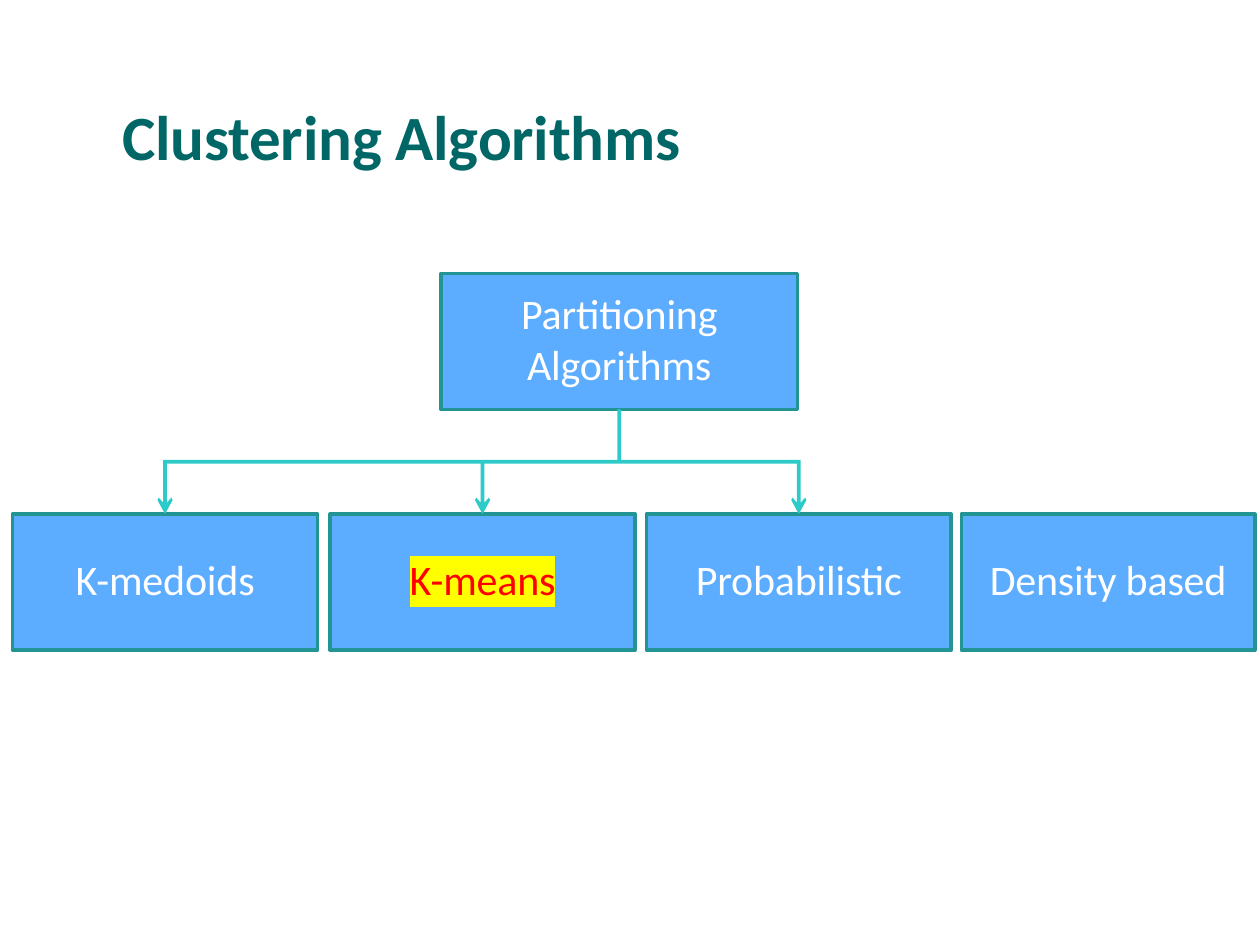
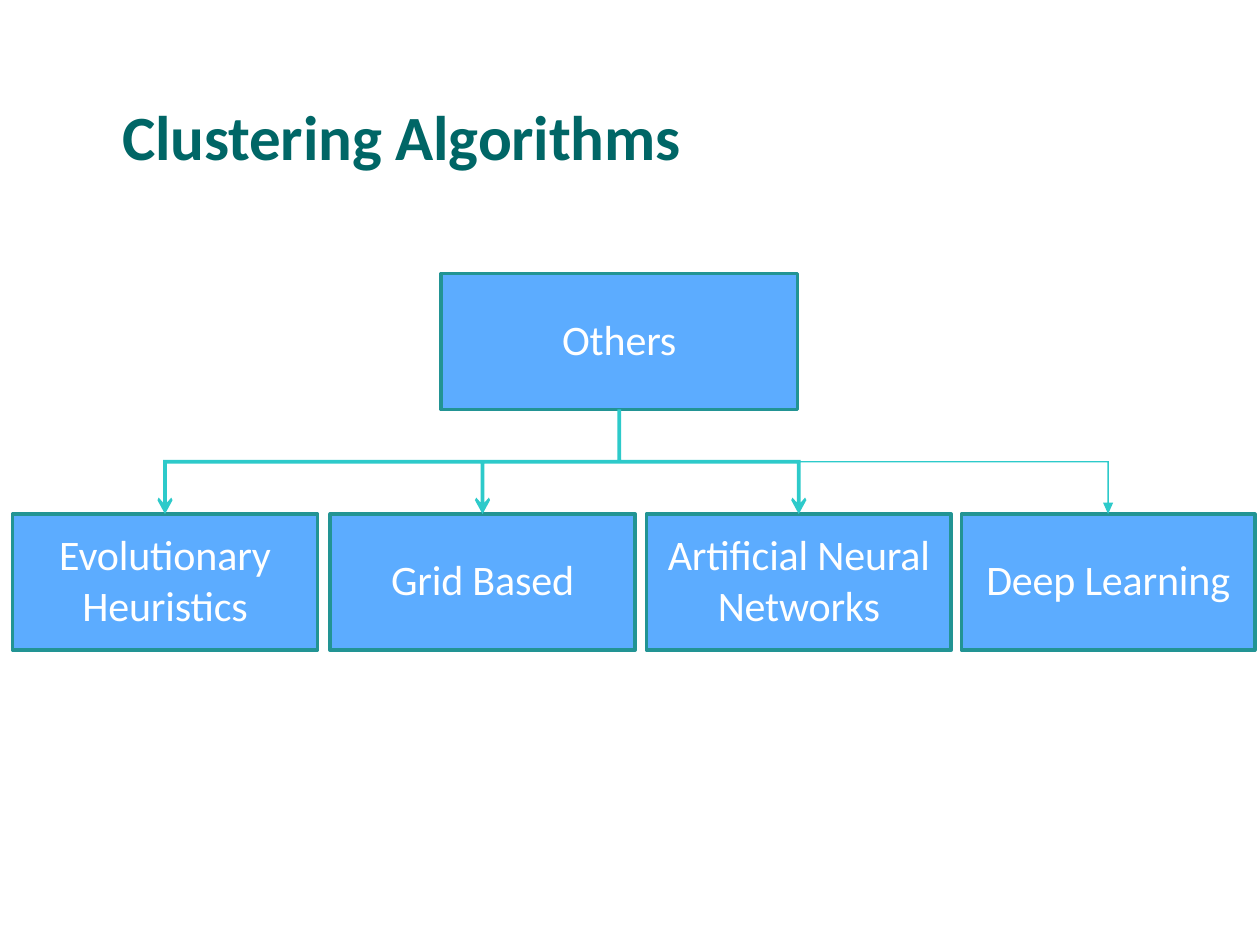
from pptx import Presentation
from pptx import util as u
from pptx.dml.color import RGBColor
from pptx.enum import shapes, text
from pptx.oxml.ns import qn
from lxml import etree

HUES = {"title": "006666", "box": "5CACFF", "edge": "229494", "link": "2DCACA",
        "text": "FFFFFF", "hot": "FF0000", "mark": "FFFF00"}

# Tree layout in inches
ROOT = (3.5, 2.17, 2.83)
TOP, HIGH = 4.08, 1.08
CELLS = [(0.1, 2.42), (2.62, 2.42), (5.13, 2.42), (7.63, 2.33)]

# Half line widths, and the left side of each arrowhead as (across, up)
THICK, THIN = 0.015, 0.005
OPEN = [(THICK, 0.09), (0.05, 0.13), (0.06, 0.11)]
SOLID = [(THIN, 0.09), (0.04, 0.09)]


def hue(name):
    return RGBColor.from_string(HUES[name])


def write(frame, words, size=24, color="text", bold=False, mark=None,
          align=text.PP_ALIGN.CENTER, left=0, foot=0):
    """Fill a text frame, one paragraph per line of words."""
    frame.word_wrap = True
    frame.vertical_anchor = text.MSO_ANCHOR.MIDDLE
    frame.margin_left, frame.margin_bottom = u.Inches(left), u.Inches(foot)
    frame.margin_right = frame.margin_top = 0
    for i, line in enumerate(words.split("\n")):
        para = frame.add_paragraph() if i else frame.paragraphs[0]
        para.alignment = align
        run = para.add_run()
        run.text = line
        font = run.font
        font.name, font.size, font.bold = "Calibri", u.Pt(size), bold
        font.color.rgb = hue(color)
        props = run._r.get_or_add_rPr()
        props.set("spc", "-10")
        if mark:
            light = etree.Element(qn("a:highlight"))
            etree.SubElement(light, qn("a:srgbClr"), val=HUES[mark])
            props.find(qn("a:solidFill")).addnext(light)


def drop(mid, bar, half, head):
    """Outline of one arrow from the bar down to its box and back up."""
    side = [(half, TOP - bar - half)] + head
    down = [(mid - x, TOP - y) for x, y in side]
    back = [(mid + x, TOP - y) for x, y in reversed(side)]
    return down + [(mid, TOP)] + back


class Deck:
    def __init__(self):
        self.prs = Presentation()
        self.prs.slide_width = u.Inches(10)
        self.prs.slide_height = u.Inches(7.5)
        self.slide = None

    def page(self, title):
        self.slide = self.prs.slides.add_slide(self.prs.slide_layouts[6])
        area = [u.Inches(n) for n in (0.96, 0.76, 4.51, 0.63)]
        frame = self.slide.shapes.add_textbox(*area).text_frame
        write(frame, title, size=36, color="title", bold=True,
              align=text.PP_ALIGN.LEFT, left=0.01)

    def paint(self, shape, fill):
        shape.shadow.inherit = False
        shape.fill.solid()
        shape.fill.fore_color.rgb = hue(fill)

    def box(self, left, top, wide, words, **form):
        area = [u.Inches(n) for n in (left, top, wide, HIGH)]
        box = self.slide.shapes.add_shape(shapes.MSO_SHAPE.RECTANGLE, *area)
        self.paint(box, "box")
        box.line.color.rgb = hue("edge")
        box.line.width = u.Pt(2.04)
        write(box.text_frame, words, foot=0.05, **form)

    def fork(self, stem, base, mids, thin):
        """Draw the branching arrow as one outline."""
        bar = (base + TOP) / 2
        over = bar - THICK
        dots = [(stem + THICK, base), (stem - THICK, base),
                (stem - THICK, over), (mids[0] - THICK, over)]
        for mid in mids[:3]:
            dots += drop(mid, bar, THICK, OPEN)
        end = mids[2] + THICK
        if thin:
            dots += [(end, bar + THIN), *drop(mids[3], bar, THIN, SOLID),
                     (mids[3] + THIN, bar - THIN), (end, bar - THIN)]
        dots += [(end, over), (stem + THICK, over)]
        first, *rest = [(u.Inches(x), u.Inches(y)) for x, y in dots]
        pen = self.slide.shapes.build_freeform(*first)
        pen.add_line_segments(rest, close=True)
        fork = pen.convert_to_shape()
        self.paint(fork, "link")
        fork.line.fill.background()

    def tree(self, root, leaves, thin=False):
        """Draw a root box over a row of leaves; thin also links the last one."""
        left, top, wide = ROOT
        self.box(left, top, wide, root)
        for (x, w), (words, form) in zip(CELLS, leaves):
            self.box(x, TOP, w, words, **form)
        mids = [x + w / 2 for x, w in CELLS]
        self.fork(left + wide / 2, top + HIGH, mids, thin)


def main():
    deck = Deck()

    # Partitioning methods
    deck.page("Clustering Algorithms")
    deck.tree("Partitioning Algorithms", [
        ("K-medoids", {}),
        ("K-means", {"color": "hot", "mark": "mark"}),
        ("Probabilistic", {}),
        ("Density based", {})])

    # Other methods
    deck.page("Clustering Algorithms")
    deck.tree("Others", [
        ("Evolutionary\nHeuristics", {}),
        ("Grid Based", {}),
        ("Artificial Neural\nNetworks", {}),
        ("Deep Learning", {})], thin=True)

    deck.prs.save("out.pptx")


if __name__ == "__main__":
    main()
